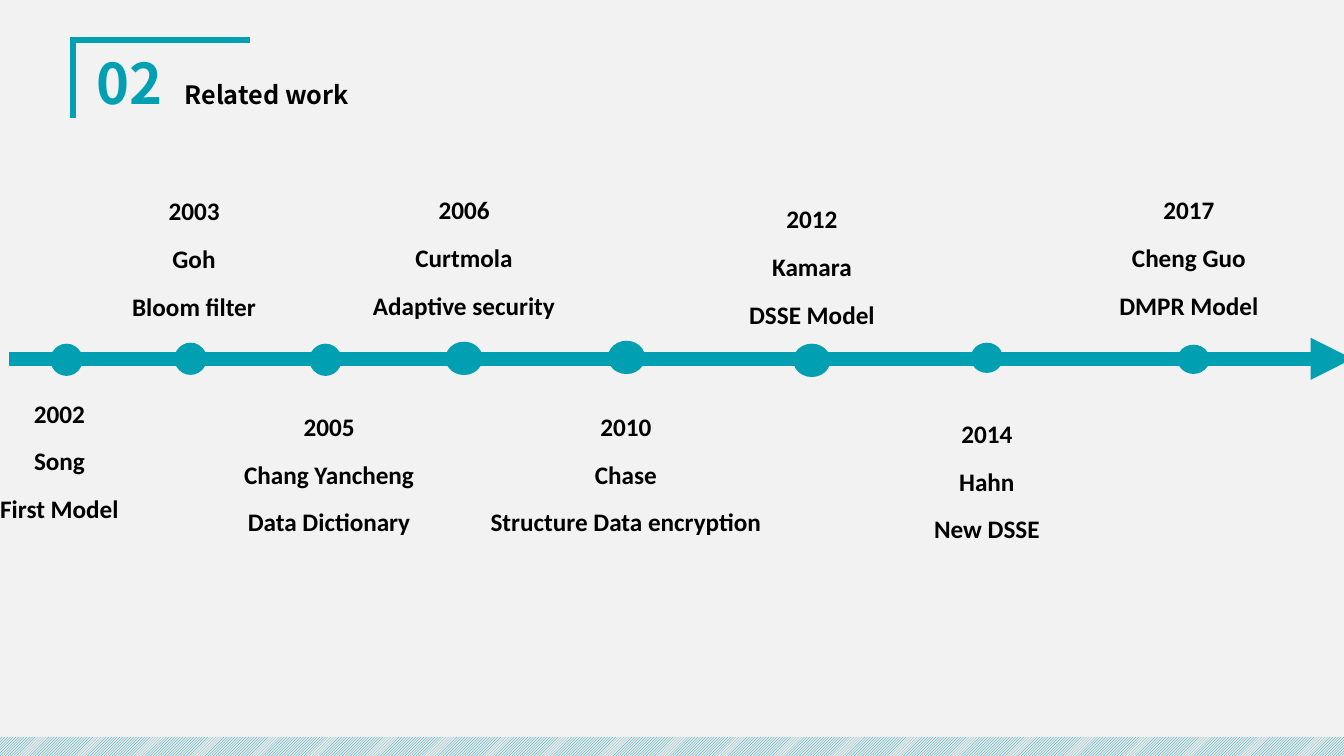
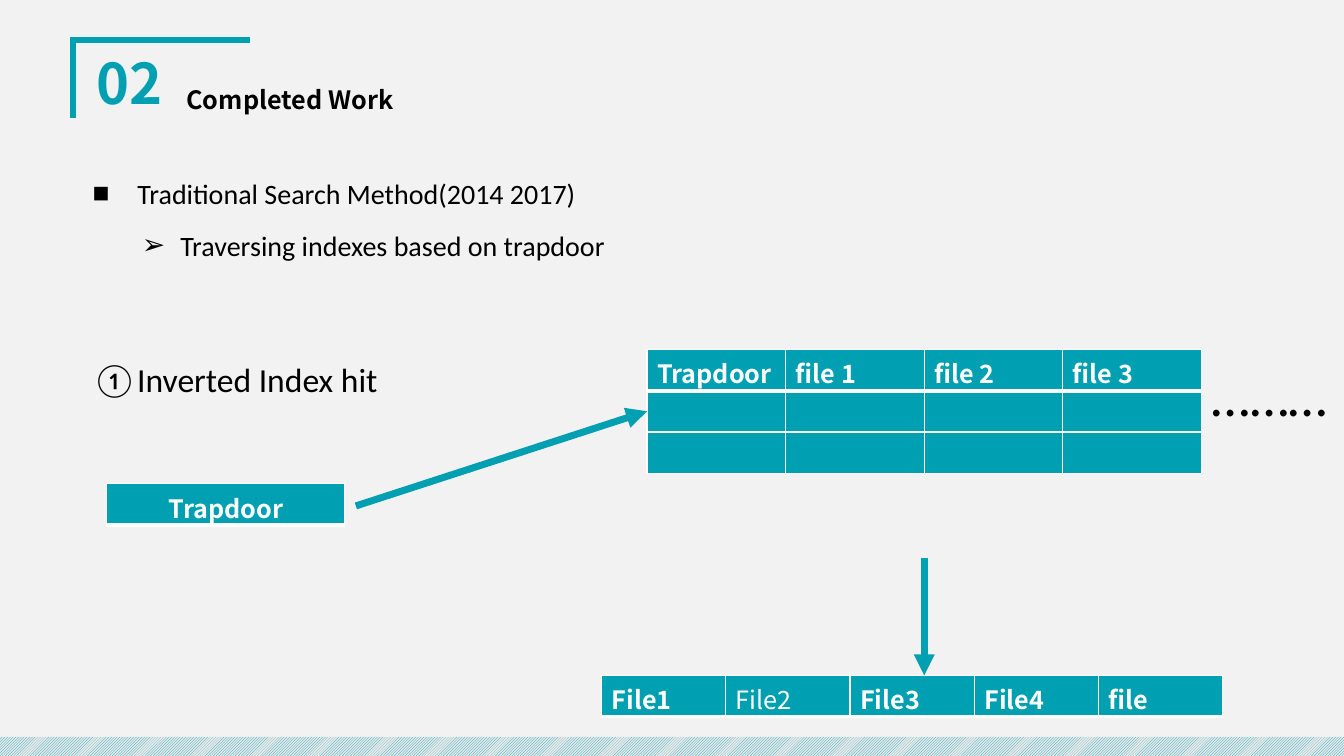
from dataclasses import dataclass
from typing import Any

from lxml import etree
from pptx import Presentation
from pptx.dml.color import RGBColor
from pptx.enum.dml import MSO_PATTERN
from pptx.enum.shapes import MSO_CONNECTOR, MSO_SHAPE
from pptx.enum.text import MSO_ANCHOR, MSO_AUTO_SIZE, PP_ALIGN
from pptx.oxml.ns import qn
from pptx.shapes.base import BaseShape
from pptx.slide import Slide
from pptx.text.text import TextFrame
from pptx.util import Pt

LEFT, CENTER = PP_ALIGN.LEFT, PP_ALIGN.CENTER
TOP, MIDDLE = MSO_ANCHOR.TOP, MSO_ANCHOR.MIDDLE
FIT_SHAPE, FIXED = MSO_AUTO_SIZE.SHAPE_TO_FIT_TEXT, MSO_AUTO_SIZE.NONE
STRAIGHT = MSO_CONNECTOR.STRAIGHT
ELLIPSE, RECTANGLE = MSO_SHAPE.OVAL, MSO_SHAPE.RECTANGLE
DIAGONAL = MSO_PATTERN.LIGHT_UPWARD_DIAGONAL

COLORS = {
    "background": "F2F2F2",
    "accent": "009FB1",
    "band": "E9E9E9",
    "text": "000000",
    "white": "FFFFFF",
}
HEADING_FONT = "Noto Sans CJK SC"
BODY_FONT = "Calibri"
ROW_HEIGHT = 29.4


@dataclass(frozen=True)
class Box:
    left: float
    top: float
    width: float
    height: float

    def lengths(self) -> tuple[Pt, Pt, Pt, Pt]:
        return Pt(self.left), Pt(self.top), Pt(self.width), Pt(self.height)


@dataclass(frozen=True)
class TextStyle:
    size: float
    font: str = BODY_FONT
    color: str = "text"
    bold: bool = False
    align: PP_ALIGN = LEFT
    spacing: float = 1.3
    before: float = 6


@dataclass(frozen=True)
class Milestone:
    lines: tuple[str, str, str]
    label: Box
    dot: Box


@dataclass(frozen=True)
class Bullet:
    text: str
    level: int
    symbol: str
    margin: float
    hanging: float


@dataclass(frozen=True)
class Arrow:
    start: tuple[float, float]
    end: tuple[float, float]
    width: float


@dataclass(frozen=True)
class IndexTable:
    left: float
    top: float
    column_width: float
    header: tuple[str, ...]
    empty_rows: int = 0
    align: PP_ALIGN = LEFT
    plain: tuple[str, ...] = ()


NUMBER = TextStyle(40, HEADING_FONT, "accent", True, CENTER, 0.9, 10)
HEADING = TextStyle(18, HEADING_FONT, "text", True, LEFT, 0.9, 10)
LABEL = TextStyle(18, bold=True, align=CENTER)
LIST = TextStyle(20)
CAPTION = TextStyle(24)
DOTS = TextStyle(40)

MILESTONES = (
    Milestone(("2002", "Song", "First Model"), Box(-11.5, 274.3, 108, 102), Box(36, 245.5, 23, 23)),
    Milestone(("2003", "Goh", "Bloom filter"), Box(82.8, 129.6, 111.6, 102), Box(124.6, 244.8, 23, 23)),
    Milestone(("2005", "Chang Yancheng", "Data Dictionary"), Box(158.4, 283.7, 153.4, 102), Box(221, 245.5, 23, 23)),
    Milestone(("2006", "Curtmola", "Adaptive security"), Box(257, 128.9, 149, 102), Box(318.2, 244.1, 26.6, 23.8)),
    Milestone(("2010", "Chase", "Structure Data encryption"), Box(338.4, 283.7, 217.4, 102), Box(434.2, 243.4, 26.6, 23.8)),
    Milestone(("2012", "Kamara", "DSSE Model"), Box(518.4, 135.4, 123.1, 102), Box(566.6, 245.5, 26.6, 23.8)),
    Milestone(("2014", "Hahn", "New DSSE"), Box(648, 288.7, 113.8, 102), Box(693.4, 244.8, 23, 21.6)),
    Milestone(("2017", "Cheng Guo", "DMPR Model"), Box(774.7, 128.9, 149, 102), Box(841, 246.2, 23, 20.9)),
)
TIMELINE = Arrow((6.5, 256.3), (966.2, 256.3), 10)

BULLETS = (
    Bullet("Traditional Search Method(2014 2017)", 0, "■", 32, 32),
    Bullet("Traversing indexes based on trapdoor", 1, "➢", 62.6, 27.4),
)
TABLES = (
    IndexTable(462.2, 249.8, 99, ("Trapdoor", "file 1", "file 2", "file 3"), empty_rows=2),
    IndexTable(76.3, 345.6, 170, ("Trapdoor",), align=CENTER),
    IndexTable(429.8, 482.4, 88.7, ("File1", "File2", "File3", "File4", "file"), plain=("File2",)),
)
ARROWS = (
    Arrow((254.2, 361.4), (462.2, 293.8), 5),
    Arrow((660.2, 398.9), (660.2, 482.4), 5),
)


def color(name: str) -> RGBColor:
    return RGBColor.from_string(COLORS[name])


def apply_format(target: Any, values: dict[str, Any]) -> None:
    for name, value in values.items():
        setattr(target, name, value)


def place(shape: BaseShape, box: Box) -> None:
    apply_format(shape, dict(zip(("left", "top", "width", "height"), box.lengths())))


def write_lines(frame: TextFrame, lines: tuple[str, ...], style: TextStyle) -> None:
    for index, line in enumerate(lines):
        paragraph = frame.add_paragraph() if index else frame.paragraphs[0]
        apply_format(paragraph, {
            "alignment": style.align,
            "line_spacing": style.spacing,
            "space_before": Pt(style.before),
        })
        run = paragraph.add_run()
        run.text = line
        apply_format(run.font, {"name": style.font, "size": Pt(style.size), "bold": style.bold})
        run.font.color.rgb = color(style.color)


def add_text(slide: Slide, box: Box, lines: tuple[str, ...], style: TextStyle,
             anchor: MSO_ANCHOR = TOP, fit: MSO_AUTO_SIZE = FIT_SHAPE) -> None:
    frame = slide.shapes.add_textbox(*box.lengths()).text_frame
    apply_format(frame, {"word_wrap": True, "auto_size": fit, "vertical_anchor": anchor})
    write_lines(frame, lines, style)


def add_line_part(shape: BaseShape, tag: str, **attributes: str) -> None:
    line = shape.element.spPr.find(qn("a:ln"))
    etree.SubElement(line, qn(tag), **attributes)


def add_arrow(slide: Slide, arrow: Arrow) -> None:
    points = [Pt(value) for value in (*arrow.start, *arrow.end)]
    connector = slide.shapes.add_connector(STRAIGHT, *points)
    connector.line.color.rgb = color("accent")
    connector.line.width = Pt(arrow.width)
    add_line_part(connector, "a:tailEnd", type="triangle")
    etree.SubElement(connector.element.spPr, qn("a:effectLst"))


def add_frame(slide: Slide) -> None:
    builder = slide.shapes.build_freeform(Pt(52), Pt(84.2))
    builder.add_line_segments([(Pt(52), Pt(28.8)), (Pt(178.6), Pt(28.8))], close=False)
    corner = builder.convert_to_shape()
    corner.shadow.inherit = False
    corner.fill.background()
    corner.line.color.rgb = color("accent")
    corner.line.width = Pt(4.5)
    add_line_part(corner, "a:miter", lim="800000")

    band = slide.shapes.add_shape(RECTANGLE, *Box(-2, 526.4, 962, 15.8).lengths())
    band.shadow.inherit = False
    band.line.fill.background()
    band.fill.patterned()
    band.fill.pattern = DIAGONAL
    band.fill.fore_color.rgb = color("accent")
    band.fill.back_color.rgb = color("band")


def start_slide(presentation: Presentation, layout: int, title: str, box: Box) -> Slide:
    slide = presentation.slides.add_slide(presentation.slide_layouts[layout])
    add_frame(slide)
    add_text(slide, Box(59, 35.3, 67, 52.6), ("02",), NUMBER, MIDDLE, FIXED)
    place(slide.shapes.title, box)
    frame = slide.shapes.title.text_frame
    apply_format(frame, {"word_wrap": True, "auto_size": FIXED, "vertical_anchor": MIDDLE})
    write_lines(frame, (title,), HEADING)
    return slide


def add_milestone(slide: Slide, milestone: Milestone) -> None:
    dot = slide.shapes.add_shape(ELLIPSE, *milestone.dot.lengths())
    dot.shadow.inherit = False
    dot.fill.solid()
    dot.fill.fore_color.rgb = color("accent")
    dot.line.fill.background()
    add_text(slide, milestone.label, milestone.lines, LABEL)


def fill_list(shape: BaseShape, box: Box, bullets: tuple[Bullet, ...]) -> None:
    place(shape, box)
    frame = shape.text_frame
    apply_format(frame, {"word_wrap": True, "auto_size": FIXED, "vertical_anchor": TOP})
    write_lines(frame, tuple(bullet.text for bullet in bullets), LIST)
    for paragraph, bullet in zip(frame.paragraphs, bullets):
        paragraph.level = bullet.level
        properties = paragraph._p.get_or_add_pPr()
        properties.set("marL", str(Pt(bullet.margin)))
        properties.set("indent", str(-Pt(bullet.hanging)))
        etree.SubElement(properties, qn("a:buChar"), char=bullet.symbol)


def add_border(cell: Any, side: str, width: float) -> None:
    properties = cell._tc.get_or_add_tcPr()
    border = etree.SubElement(properties, qn(f"a:ln{side}"), w=str(Pt(width)))
    fill = etree.SubElement(border, qn("a:solidFill"))
    etree.SubElement(fill, qn("a:srgbClr"), val=COLORS["white"])


def add_index_table(slide: Slide, spec_table: IndexTable) -> None:
    rows, columns = 1 + spec_table.empty_rows, len(spec_table.header)
    box = Box(spec_table.left, spec_table.top, spec_table.column_width * columns, ROW_HEIGHT * rows)
    table = slide.shapes.add_table(rows, columns, *box.lengths()).table
    for row_index, row in enumerate(table.rows):
        row.height = Pt(ROW_HEIGHT)
        widths = {"L": 1, "R": 1, "T": 1, "B": 1}
        widths["T" if row_index == 1 else "B"] = 3 if row_index < 2 else 1
        for column_index, cell in enumerate(row.cells):
            for side, width in widths.items():
                add_border(cell, side, width)
            cell.fill.solid()
            cell.fill.fore_color.rgb = color("accent")
            cell.margin_bottom = Pt(0)
            if row_index == 0:
                text = spec_table.header[column_index]
                bold = text not in spec_table.plain
                style = TextStyle(18, HEADING_FONT, "white", bold, spec_table.align, 1.0, 0)
                write_lines(cell.text_frame, (text,), style)


def build_timeline(presentation: Presentation) -> None:
    slide = start_slide(presentation, 5, "Related work", Box(124.6, 52.6, 192.2, 31.7))
    add_arrow(slide, TIMELINE)
    for milestone in MILESTONES:
        add_milestone(slide, milestone)


def build_search(presentation: Presentation) -> None:
    slide = start_slide(presentation, 1, "Completed Work", Box(126, 56.2, 192.2, 31.7))
    fill_list(slide.placeholders[1], Box(59, 115.2, 836.6, 73.4), BULLETS)
    add_text(slide, Box(59, 244.1, 259.2, 41.8), ("①Inverted Index hit",), CAPTION)
    add_text(slide, Box(858.2, 239.8, 102.2, 65.5), ("………",), DOTS)
    for table in TABLES:
        add_index_table(slide, table)
    for arrow in ARROWS:
        add_arrow(slide, arrow)


def main() -> None:
    presentation = Presentation()
    presentation.slide_width, presentation.slide_height = Pt(960), Pt(540)
    background = presentation.slide_master.background.fill
    background.solid()
    background.fore_color.rgb = color("background")
    build_timeline(presentation)
    build_search(presentation)
    presentation.save("out.pptx")


if __name__ == "__main__":
    main()
